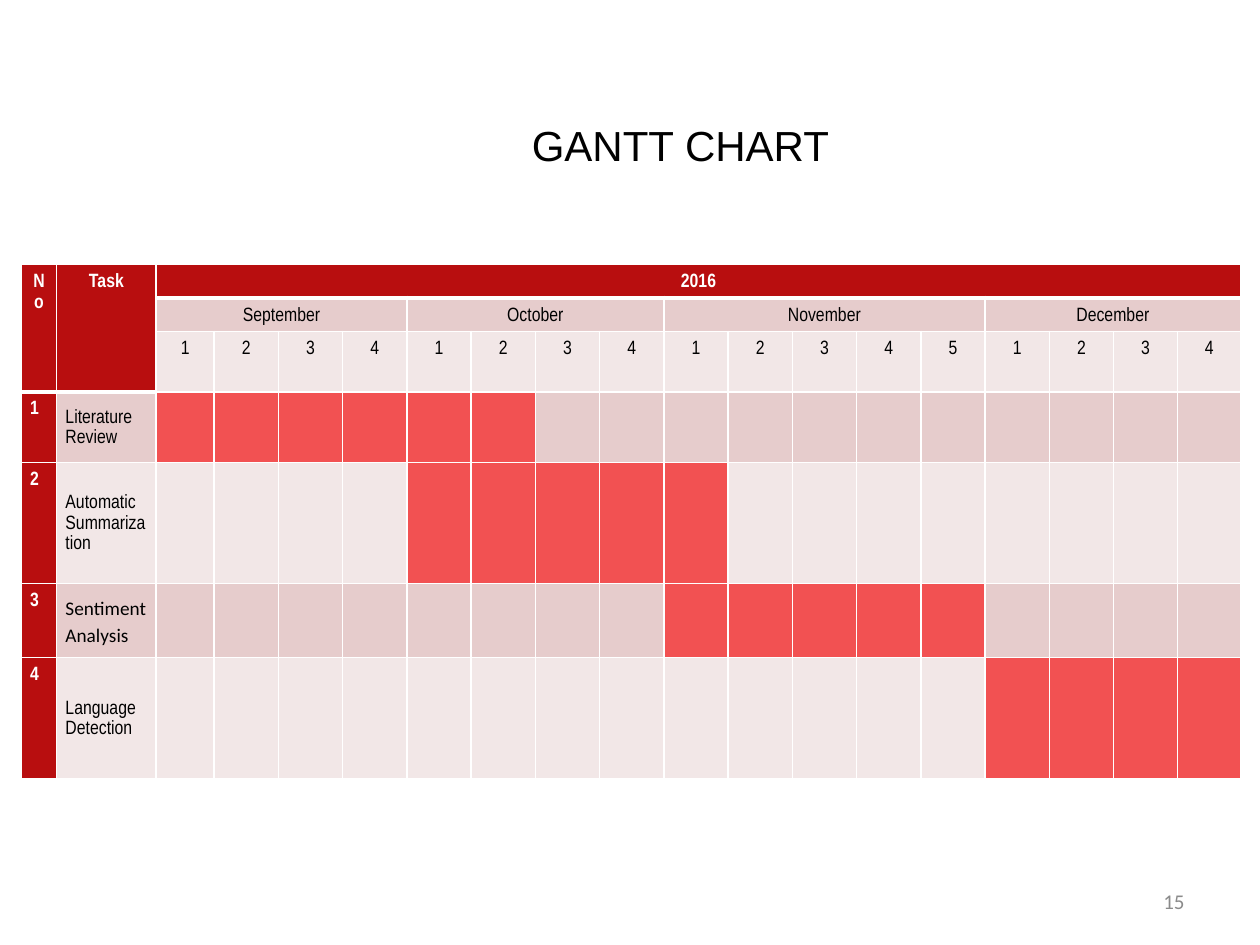
from lxml import etree
from pptx import Presentation
from pptx.dml.color import RGBColor
from pptx.enum.text import MSO_ANCHOR, MSO_AUTO_SIZE, PP_ALIGN
from pptx.oxml.ns import qn
from pptx.util import Inches, Pt

LEFT, CENTER, RIGHT = PP_ALIGN.LEFT, PP_ALIGN.CENTER, PP_ALIGN.RIGHT
TOP, MIDDLE = MSO_ANCHOR.TOP, MSO_ANCHOR.MIDDLE
NO_AUTOFIT = MSO_AUTO_SIZE.NONE

# Content: weeks are counted from the first week of September
TITLE = "GANTT CHART"
PAGE = "15"
YEAR = "2016"
HEADINGS = ["No", "Task"]
MONTHS = [("September", 4), ("October", 4), ("November", 5), ("December", 4)]
TASKS = [  # name, first week, last week, font
    ("Literature Review", 1, 6, "Arial Narrow"),
    ("Automatic Summarization", 5, 9, "Arial Narrow"),
    ("Sentiment Analysis", 9, 13, "Calibri"),
    ("Language Detection", 14, 17, "Arial Narrow"),
]

# Look
RED, BAR = "B80E0F", "F25152"
BANDS = ["E6CCCC", "F2E7E7"]
WHITE, BLACK, GREY = "FFFFFF", "000000", "8B8B8B"
THIN, THICK = 0.96, 3

# Grid
WEEKS = sum(count for _, count in MONTHS)
LABELS = len(HEADINGS)
HEADER_ROWS = 3
COLUMN_WIDTHS = [0.28, 0.79, 0.46] + [0.51] * (WEEKS - 2) + [0.5]
ROW_HEIGHTS = [0.24, 0.24, 0.48, 0.56, 0.96, 0.59, 0.96]


def rgb(value):
    return RGBColor.from_string(value)


def write(frame, text, font="Arial Narrow", size=11, color=BLACK, bold=False,
          align=CENTER, spacing=None):
    paragraph = frame.paragraphs[0]
    paragraph.alignment = align
    if spacing:
        paragraph.line_spacing = spacing
    run = paragraph.add_run()
    run.text = text
    run.font.name, run.font.size, run.font.bold = font, Pt(size), bold
    run.font.color.rgb = rgb(color)


def add_border(cell, side, width):
    line = etree.SubElement(cell._tc.get_or_add_tcPr(), qn(f"a:ln{side}"),
                            w=str(int(Pt(width))))
    fill = etree.SubElement(line, qn("a:solidFill"))
    etree.SubElement(fill, qn("a:srgbClr"), val=WHITE)


def format_cell(cell, row, column):
    """White rules, thick below the red headings; band colour as fill."""
    label = column < LABELS
    heading_end = HEADER_ROWS if label else 1
    header = row < heading_end
    for side in "LRTB":
        thick = (side == "B" and header) or (side == "T" and row == heading_end)
        add_border(cell, side, THICK if thick else THIN)
    cell.fill.solid()
    cell.fill.fore_color.rgb = rgb(
        RED if header or column == 0 else BANDS[(row - 1) % 2])
    cell.margin_left = cell.margin_right = Inches(0.07)
    cell.margin_top = cell.margin_bottom = Inches(0.05)
    cell.vertical_anchor = MIDDLE if column == 1 and not header else TOP
    # Empty cells must not stretch their rows
    etree.SubElement(cell.text_frame.paragraphs[0]._p, qn("a:endParaRPr"), sz="1100")


def fill_header(table):
    for column, heading in enumerate(HEADINGS):
        table.cell(0, column).merge(table.cell(HEADER_ROWS - 1, column))
        write(table.cell(0, column).text_frame, heading, color=WHITE, bold=True,
              spacing=1.15)
    table.cell(0, LABELS).merge(table.cell(0, LABELS + WEEKS - 1))
    write(table.cell(0, LABELS).text_frame, YEAR, color=WHITE, bold=True, spacing=1.15)

    start = LABELS
    for month, count in MONTHS:
        table.cell(1, start).merge(table.cell(1, start + count - 1))
        write(table.cell(1, start).text_frame, month, spacing=1.15)
        for week in range(count):
            write(table.cell(2, start + week).text_frame, str(week + 1), spacing=1.15)
        start += count


def fill_tasks(table):
    for number, (task, first, last, font) in enumerate(TASKS, 1):
        row = HEADER_ROWS + number - 1
        write(table.cell(row, 0).text_frame, str(number), color=WHITE, bold=True,
              align=LEFT, spacing=1.15)
        write(table.cell(row, 1).text_frame, task, font=font, align=LEFT, spacing=1.15)
        for week in range(first, last + 1):
            table.cell(row, LABELS + week - 1).fill.fore_color.rgb = rgb(BAR)


def main():
    deck = Presentation()
    deck.slide_width, deck.slide_height = Inches(10), Inches(7.5)
    slide = deck.slides.add_slide(deck.slide_layouts[5])

    # Title
    title = slide.shapes.title
    title.left, title.top = Inches(3.9), Inches(0.9)
    title.width, title.height = Inches(3), Inches(0.47)
    title.text_frame.auto_size = NO_AUTOFIT
    title.text_frame.vertical_anchor = TOP
    write(title.text_frame, TITLE, font="Arial", size=24)

    # Schedule
    schedule = slide.shapes.add_table(
        len(ROW_HEIGHTS), len(COLUMN_WIDTHS), Inches(0.17), Inches(2.1),
        Inches(sum(COLUMN_WIDTHS)), Inches(sum(ROW_HEIGHTS))).table
    for column, width in zip(schedule.columns, COLUMN_WIDTHS):
        column.width = Inches(width)
    for row, height in zip(schedule.rows, ROW_HEIGHTS):
        row.height = Inches(height)
    for row in range(len(ROW_HEIGHTS)):
        for column in range(len(COLUMN_WIDTHS)):
            format_cell(schedule.cell(row, column), row, column)
    fill_header(schedule)
    fill_tasks(schedule)

    # Page number
    page = slide.shapes.add_textbox(Inches(7.17), Inches(6.95), Inches(2.33), Inches(0.4))
    page.text_frame.word_wrap = True
    page.text_frame.vertical_anchor = MIDDLE
    write(page.text_frame, PAGE, font="Calibri", size=12, color=GREY, align=RIGHT)

    deck.save("out.pptx")


if __name__ == "__main__":
    main()
